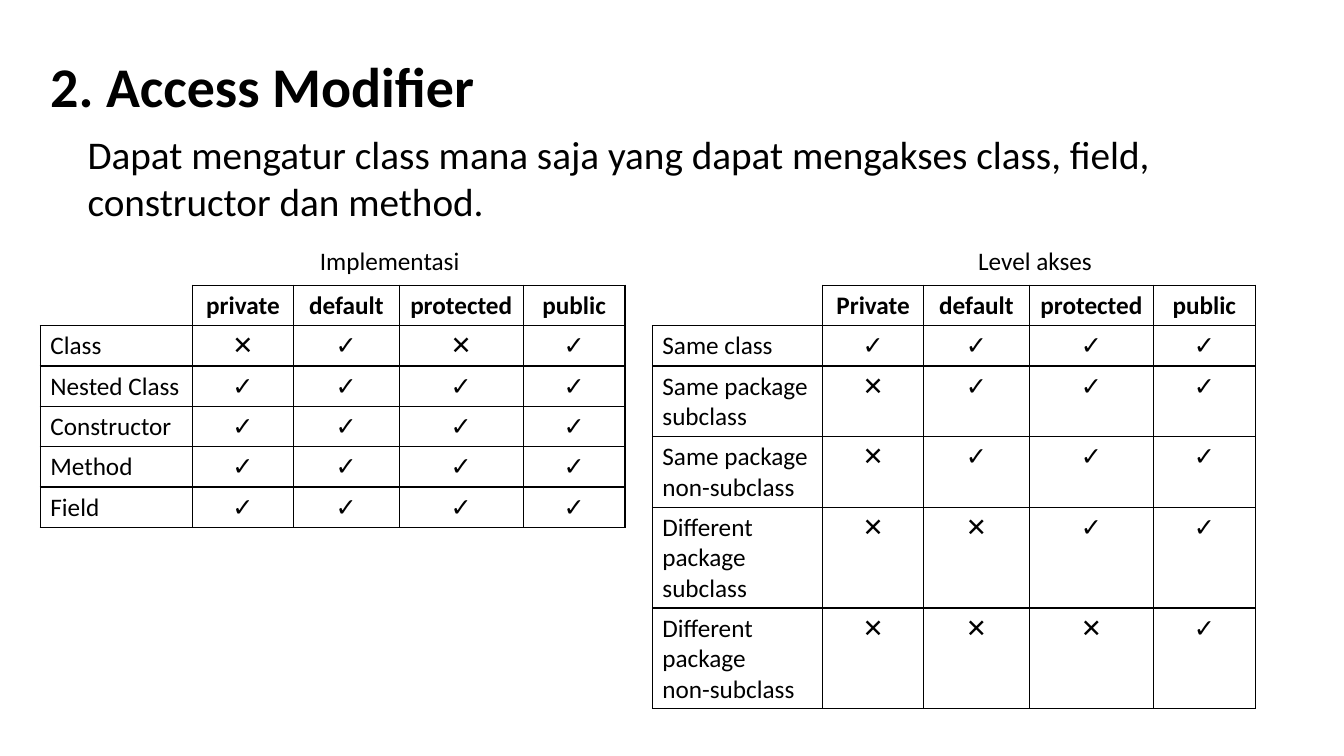
import pptx
import pptx.dml.color
import pptx.enum.text
import pptx.oxml
import pptx.oxml.ns
import pptx.util

WIDTH, HEIGHT = 13.33, 7.5
FONT = "Calibri"
INK = "000000"
YES, NO = "✓", "✕"
MARK_COLUMNS = [1.0, 1.05, 1.23, 1.01]
TABLE_TOP = 2.83
CAPTION_TOP, CAPTION_WIDTH, CAPTION_HEIGHT = 2.38, 3.65, 0.4
LINE_HEIGHT, ROW_PADDING = 0.3, 0.1

IMPLEMENTATION = [
    (["Class"], "✕✓✕✓"),
    (["Nested Class"], "✓✓✓✓"),
    (["Constructor"], "✓✓✓✓"),
    (["Method"], "✓✓✓✓"),
    (["Field"], "✓✓✓✓"),
]
ACCESS_LEVEL = [
    (["Same class"], "✓✓✓✓"),
    (["Same package subclass"], "✕✓✓✓"),
    (["Same package non-subclass"], "✕✓✓✓"),
    (["Different package subclass"], "✕✕✓✓"),
    (["Different package", "non-subclass"], "✕✕✕✓"),
]
ACCESS_LINES = [1, 2, 2, 3, 3]


def inches(value):
    """Convert inches to a length."""
    return pptx.util.Inches(value)


def color(code):
    """Turn a hex string into a colour."""
    return pptx.dml.color.RGBColor.from_string(code)


def write(frame, lines, size, bold=False, centered=False):
    """Fill a text frame with one paragraph per line."""
    for index, line in enumerate(lines):
        para = frame.add_paragraph() if index else frame.paragraphs[0]
        if centered:
            para.alignment = pptx.enum.text.PP_ALIGN.CENTER
        span = para.add_run()
        span.text = line
        span.font.name = FONT
        span.font.size = pptx.util.Pt(size)
        span.font.bold = bold
        span.font.color.rgb = color(INK)


def add_text(page, area, text, size, bold=False, centered=False, wrap=True):
    """Place a text box that grows with its text."""
    box = page.shapes.add_textbox(*map(inches, area))
    box.text_frame.word_wrap = wrap
    box.text_frame.auto_size = pptx.enum.text.MSO_AUTO_SIZE.SHAPE_TO_FIT_TEXT
    write(box.text_frame, [text], size, bold, centered)


def set_borders(cell, visible):
    """Draw the named sides of a cell and hide the others."""
    properties = cell._tc.get_or_add_tcPr()
    namespace = pptx.oxml.ns.nsdecls("a")
    for position, side in enumerate("LRTB"):
        paint = "<a:noFill/>"
        if side in visible:
            paint = f'<a:solidFill><a:srgbClr val="{INK}"/></a:solidFill>'
        border = pptx.oxml.parse_xml(
            f'<a:ln{side} {namespace} w="12700">{paint}</a:ln{side}>')
        properties.insert(position, border)


def add_matrix(page, left, label_width, headings, rows, line_counts, bold_cross):
    """Place a table of modifiers against the things they apply to."""
    columns = [label_width] + MARK_COLUMNS
    heights = [ROW_PADDING + LINE_HEIGHT * count for count in [1] + line_counts]
    area = (left, TABLE_TOP, sum(columns), sum(heights))
    table = page.shapes.add_table(len(heights), len(columns), *map(inches, area)).table
    table.first_row = False
    table.horz_banding = False
    for column, width in zip(table.columns, columns):
        column.width = inches(width)
    for row, height in zip(table.rows, heights):
        row.height = inches(height)
    for cell in table.iter_cells():
        cell.fill.background()
        set_borders(cell, "RB" if cell is table.cell(0, 0) or cell._tc is table.cell(0, 0)._tc else "LRTB")
    for column, heading in enumerate(headings, 1):
        write(table.cell(0, column).text_frame, [heading], 18, True, True)
    for index, (label, marks) in enumerate(rows, 1):
        write(table.cell(index, 0).text_frame, label, 18)
        for column, mark in enumerate(marks, 1):
            bold = mark == YES or bold_cross
            write(table.cell(index, column).text_frame, [mark], 18, bold, True)


def add_caption(page, left, text):
    """Place a centred caption above a table."""
    add_text(page, (left, CAPTION_TOP, CAPTION_WIDTH, CAPTION_HEIGHT), text, 18, centered=True)


def add_heading(page):
    """Place the title and the introduction."""
    add_text(page, (0.4, 0.46, 4.46, 0.77), "2. Access Modifier", 40, bold=True, wrap=False)
    add_text(page, (0.77, 1.24, 11.78, 1.04),
             "Dapat mengatur class mana saja yang dapat mengakses class, field, "
             "constructor dan method.", 28)


def main():
    """Build the slide and save it."""
    deck = pptx.Presentation()
    deck.slide_width, deck.slide_height = inches(WIDTH), inches(HEIGHT)
    page = deck.slides.add_slide(deck.slide_layouts[6])
    shared = ["default", "protected", "public"]
    add_heading(page)
    add_matrix(page, 0.4, 1.51, ["private"] + shared, IMPLEMENTATION,
               [1] * len(IMPLEMENTATION), False)
    add_matrix(page, 6.47, 1.69, ["Private"] + shared, ACCESS_LEVEL, ACCESS_LINES, True)
    add_caption(page, 2.04, "Implementasi")
    add_caption(page, 8.44, "Level akses")
    deck.save("out.pptx")


if __name__ == "__main__":
    main()
